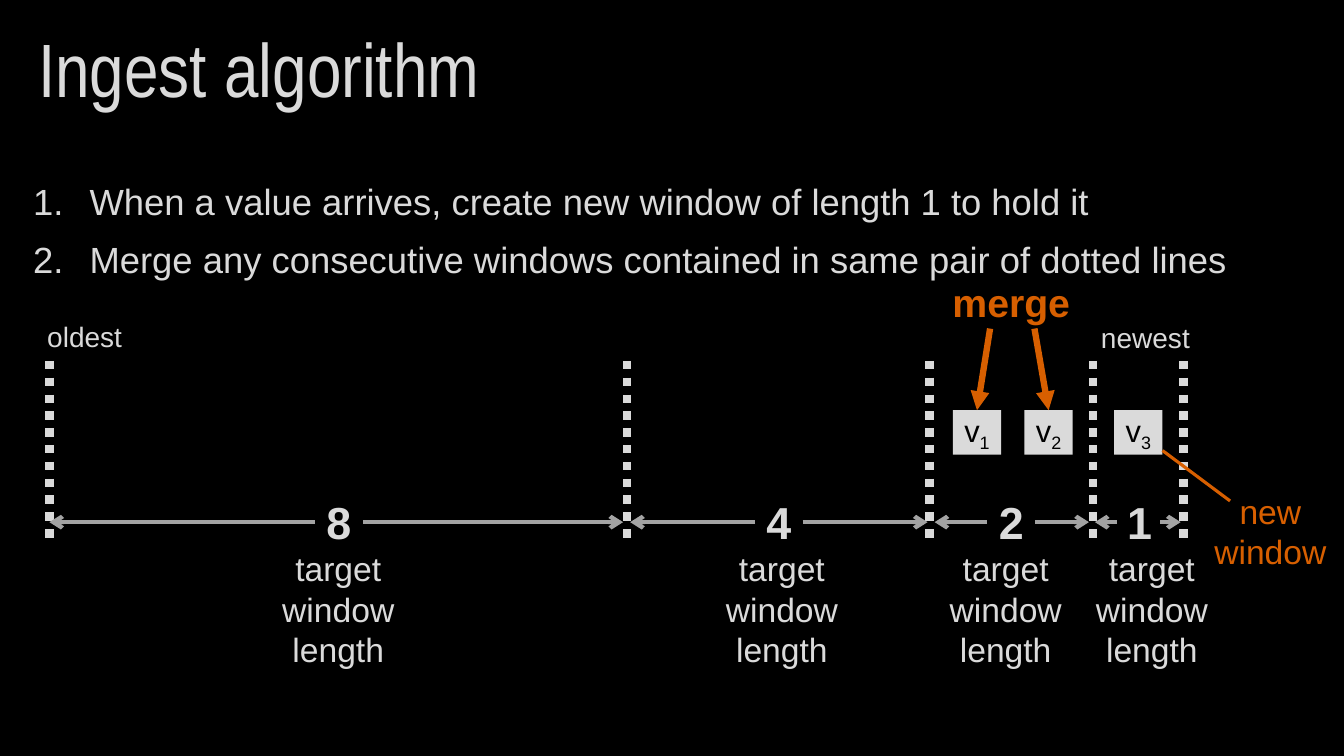
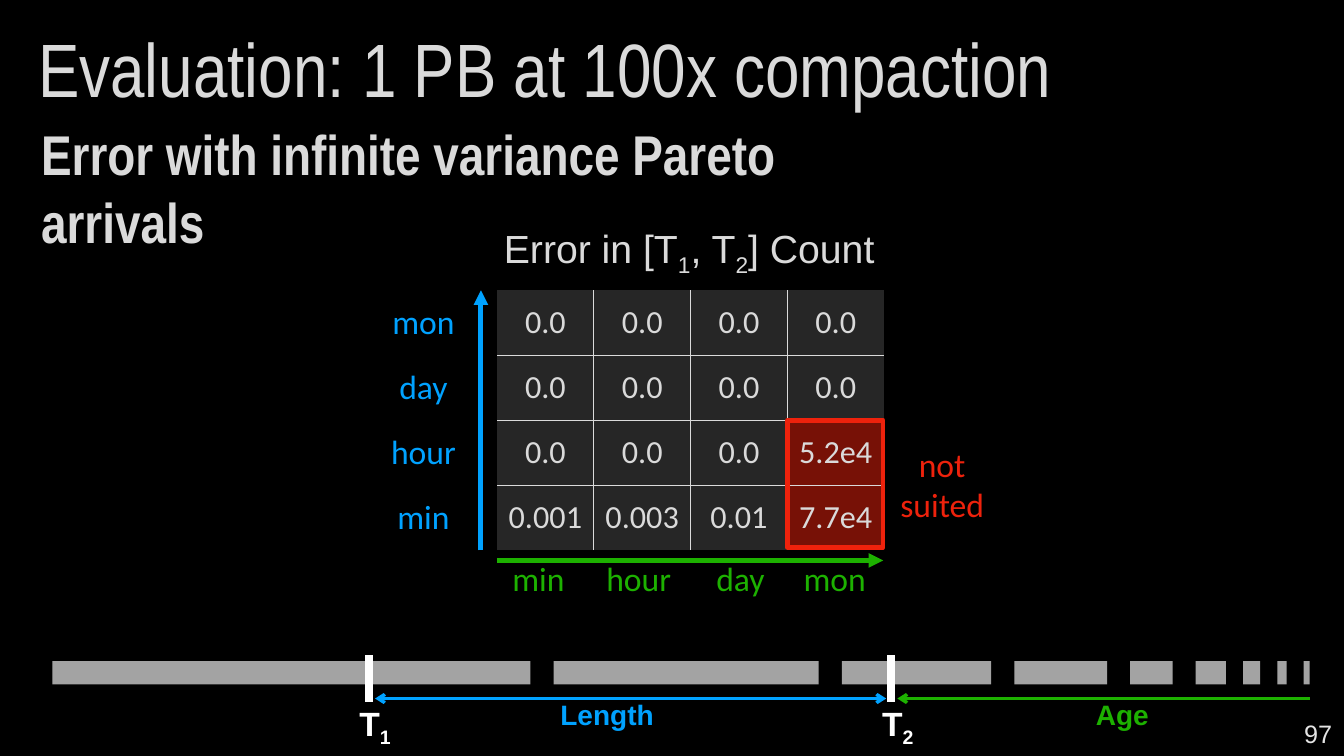
from lxml import etree
from pptx import Presentation
from pptx.dml.color import RGBColor
from pptx.enum import dml, shapes, text
from pptx.oxml import ns
from pptx.util import Inches, Pt

BLACK, WHITE, PALE, GREY, DARK = "000000", "FFFFFF", "DADADA", "A3A3A3", "262626"
ORANGE, BLUE, GREEN, RED, DARK_RED = "D75F00", "00A2FF", "1DB100", "EE220C", "771106"
BODY, NARROW, CELL = "Arial", "Arial Narrow", "Calibri"
LEFT, CENTER, RIGHT = text.PP_ALIGN.LEFT, text.PP_ALIGN.CENTER, text.PP_ALIGN.RIGHT
MIDDLE, TOP = text.MSO_ANCHOR.MIDDLE, text.MSO_ANCHOR.TOP
NO_GRID = "{2D5ABB26-0587-4C30-8999-92F81FD0307C}"


def rgb(color):
    return RGBColor.from_string(color)


def add_xml(parent, tag, **attrs):
    return etree.SubElement(parent, ns.qn(tag), attrs)


class Deck:
    """Holds the shared style and the slide being filled."""

    def __init__(self):
        self.prs = Presentation()
        self.prs.slide_width, self.prs.slide_height = Inches(13.33), Inches(7.5)
        self.s = None

    def slide(self, title):
        self.s = self.prs.slides.add_slide(self.prs.slide_layouts[6])
        fill = self.s.background.fill
        fill.solid()
        fill.fore_color.rgb = rgb(BLACK)
        sp = self.text(title, 0.28, 0, 12.8, 1.45, 54, font=NARROW, align=LEFT,
                       anchor=MIDDLE, wrap=True)
        sp.text_frame.paragraphs[0].line_spacing = 0.9

    def fill_paragraph(self, p, content, size, color, font, bold=False, align=CENTER):
        """Fill a paragraph; parts between bars are subscripts."""
        p.alignment = align
        for i, part in enumerate(content.split("|")):
            for j, line in enumerate(part.split("\n")):
                if j:
                    p.add_line_break()
                if not line:
                    continue
                r = p.add_run()
                r.text = line
                r.font.size, r.font.name, r.font.bold = Pt(size), font, bold
                r.font.color.rgb = rgb(color)
                if i % 2:
                    r.font._element.set("baseline", "-25000")

    def text(self, content, x, y, w, h, size, color=PALE, font=BODY, bold=False,
             align=CENTER, anchor=TOP, wrap=False):
        sp = self.s.shapes.add_textbox(Inches(x), Inches(y), Inches(w), Inches(h))
        tf = sp.text_frame
        tf.word_wrap, tf.vertical_anchor = wrap, anchor
        self.fill_paragraph(tf.paragraphs[0], content, size, color, font, bold, align)
        return sp

    def numbered(self, items, x, y, w, h, size):
        sp = self.s.shapes.add_textbox(Inches(x), Inches(y), Inches(w), Inches(h))
        tf = sp.text_frame
        tf.word_wrap = True
        for i, item in enumerate(items):
            p = tf.add_paragraph() if i else tf.paragraphs[0]
            self.fill_paragraph(p, item, size, PALE, BODY, align=LEFT)
            p.space_before = Pt(10)
            pPr = p._p.get_or_add_pPr()
            pPr.set("marL", str(Inches(0.56)))
            pPr.set("indent", str(-Inches(0.56)))
            add_xml(pPr, "a:buFont", typeface=BODY)
            add_xml(pPr, "a:buAutoNum", type="arabicPeriod")

    def rect(self, x, y, w, h, fill=None, line=None, label=""):
        sp = self.s.shapes.add_shape(shapes.MSO_SHAPE.RECTANGLE, Inches(x), Inches(y),
                                     Inches(w), Inches(h))
        sp.shadow.inherit = False
        if fill:
            sp.fill.solid()
            sp.fill.fore_color.rgb = rgb(fill)
        else:
            sp.fill.background()
        if line:
            sp.line.color.rgb, sp.line.width = rgb(line), Pt(3.25)
        else:
            sp.line.fill.background()
        if label:
            tf = sp.text_frame
            tf.margin_left = tf.margin_right = tf.margin_top = tf.margin_bottom = 0
            tf.vertical_anchor = MIDDLE
            self.fill_paragraph(tf.paragraphs[0], label, 22, BLACK, BODY)
        return sp

    def line(self, start, end, color, width, head=None, tail=None, dotted=False):
        """Draw a line; an end is a point or a (shape, side) pair."""
        points = [(0, 0) if hasattr(e[0], "shape_id") else e for e in (start, end)]
        cxn = self.s.shapes.add_connector(shapes.MSO_CONNECTOR.STRAIGHT,
                                          *[Inches(v) for pt in points for v in pt])
        for e, join in ((start, cxn.begin_connect), (end, cxn.end_connect)):
            if hasattr(e[0], "shape_id"):
                join(*e)
        cxn.line.color.rgb, cxn.line.width = rgb(color), Pt(width)
        if dotted:
            cxn.line.dash_style = dml.MSO_LINE.ROUND_DOT
        ln = cxn.line._get_or_add_ln()
        for tag, kind in (("a:headEnd", head), ("a:tailEnd", tail)):
            if kind:
                add_xml(ln, tag, type=kind)
        add_xml(cxn._element.spPr, "a:effectLst")

    def table(self, rows, x, y, widths, row_height, size, color, fills=None):
        """Draw a table; with fills it also gets inner grid lines."""
        last_row, last_col = len(rows) - 1, len(widths) - 1
        frame = self.s.shapes.add_table(len(rows), len(widths), Inches(x), Inches(y),
                                        Inches(sum(widths)), Inches(row_height * len(rows)))
        tbl = frame.table
        tbl.first_row = tbl.horz_banding = False
        tbl._tbl.tblPr.find(ns.qn("a:tableStyleId")).text = NO_GRID
        for col, width in zip(tbl.columns, widths):
            col.width = Inches(width)
        for i, row in enumerate(rows):
            tbl.rows[i].height = Inches(row_height)
            for j, value in enumerate(row):
                cell = tbl.cell(i, j)
                cell.margin_left = cell.margin_right = Inches(0.08)
                cell.margin_top = cell.margin_bottom = Inches(0.04)
                cell.vertical_anchor = MIDDLE
                self.fill_paragraph(cell.text_frame.paragraphs[0], value, size, color, CELL)
                if not fills:
                    cell.fill.background()
                    continue
                inner = {"L": j > 0, "R": j < last_col, "T": i > 0, "B": i < last_row}
                for side in [k for k, shown in inner.items() if shown]:
                    ln = add_xml(cell._tc.get_or_add_tcPr(), "a:ln" + side, w=str(Pt(1)))
                    add_xml(add_xml(ln, "a:solidFill"), "a:srgbClr", val=PALE)
                cell.fill.solid()
                cell.fill.fore_color.rgb = rgb(fills[i][j])


def ingest_slide(d):
    d.slide("Ingest algorithm")
    d.numbered(["When a value arrives, create new window of length 1 to hold it",
                "Merge any consecutive windows contained in same pair of dotted lines"],
               0.23, 1.73, 12.88, 5.06, 26)

    # Dotted window boundaries
    for x in (0.49, 6.22, 9.22, 10.84, 11.74):
        d.line((x, 3.58), (x, 5.35), PALE, 6, dotted=True)

    # Target lengths: number, its left and width, arrow tips, caption left
    axis = 5.18
    for number, x, w, tip_left, tip_right, caption in (
            ("8", 3.12, 0.48, 0.49, 6.18, 2.64),
            ("4", 7.49, 0.47, 6.25, 9.2, 7.04),
            ("2", 9.79, 0.48, 9.27, 10.8, 9.26),
            ("1", 11.08, 0.43, 10.86, 11.71, 10.71)):
        box = d.text(number, x, axis - 0.32, w, 0.64, 32, bold=True)
        for side, tip in ((1, tip_left), (3, tip_right)):
            d.line((box, side), (tip, axis), GREY, 3, tail="arrow")
        d.text("target\nwindow\nlength", caption, 5.39, 1.43, 1.31, 24)

    # Values
    v1, v2, v3 = [d.rect(x, 4.07, 0.48, 0.44, PALE, label=f"v|{i}")
                  for i, x in enumerate((9.45, 10.16, 11.05), 1)]

    # Callouts
    d.text("merge", 9.31, 2.71, 1.44, 0.57, 28, ORANGE, bold=True)
    for x, value in ((9.82, v1), (10.26, v2)):
        d.line((x, 3.26), (value, 0), ORANGE, 4.5, tail="triangle")
    d.text("new\nwindow", 11.88, 4.82, 1.44, 0.91, 24, ORANGE)
    d.line((11.53, 4.47), (12.2, 4.97), ORANGE, 2.25)
    d.text("newest", 10.75, 3.13, 1.15, 0.44, 20, align=RIGHT)
    d.text("oldest", 0.37, 3.12, 1.01, 0.44, 20, align=LEFT)


def evaluation_slide(d):
    d.slide("Evaluation: 1 PB at 100x compaction")
    d.text("Error with infinite variance Pareto arrivals", 0.31, 1.14, 8.15, 0.77, 40,
           font=NARROW, bold=True, align=LEFT, wrap=True)

    # Error grid with its two axes
    units = ["min", "hour", "day", "mon"]
    errors = [["0.0"] * 4,
              ["0.0"] * 4,
              ["0.0", "0.0", "0.0", "5.2e4"],
              ["0.001", "0.003", "0.01", "7.7e4"]]
    fills = [[DARK_RED if "e" in v else DARK for v in row] for row in errors]
    d.text("Error in [T|1|, T|2|] Count", 4.87, 2.18, 3.93, 0.57, 28)
    d.table([[u] for u in reversed(units)], 3.7, 2.88, [1], 0.645, 24, BLUE)
    d.table(errors, 4.93, 2.88, [0.96] * 4, 0.645, 23, PALE, fills)
    d.line((4.77, 5.46), (4.77, 2.88), BLUE, 3.5, tail="triangle")
    d.line((4.93, 5.56), (8.76, 5.56), GREEN, 3.5, tail="triangle")
    d.table([units], 4.9, 5.51, [0.88, 1.11, 0.91, 0.96], 0.48, 24, GREEN)
    d.rect(7.81, 4.17, 0.95, 1.26, line=RED)
    d.text("not\nsuited", 8.78, 4.35, 1.13, 0.91, 24, RED, CELL, wrap=True)

    # Timeline of shrinking windows
    x = 0.52
    for width in (4.74, 2.63, 1.48, 0.92, 0.42, 0.3, 0.17, 0.09, 0.06):
        d.rect(x, 6.56, width, 0.23, GREY)
        x += width + (0.23 if width > 0.4 else 0.17)

    # Time marks and spans
    for i, (mark, left, w) in enumerate(((3.66, 3.46, 0.52), (8.84, 8.63, 0.55)), 1):
        d.line((mark, 6.5), (mark, 6.96), WHITE, 6)
        d.text(f"T|{i}", left, 6.92, w, 0.5, 24, WHITE, bold=True)
    for label, left, w, start, end, color, tail in (
            ("Length", 5.46, 1.16, 3.72, 8.79, BLUE, "arrow"),
            ("Age", 10.77, 0.74, 8.9, 12.99, GREEN, None)):
        d.line((start, 6.93), (end, 6.93), color, 2.25, head="arrow", tail=tail)
        d.text(label, left, 6.87, w, 0.44, 20, color, bold=True, align=LEFT)
    d.text("97", 10.31, 7.08, 3, 0.4, 18, "E4E4E4", align=RIGHT, anchor=MIDDLE, wrap=True)


def main():
    d = Deck()
    ingest_slide(d)
    evaluation_slide(d)
    d.prs.save("out.pptx")


if __name__ == "__main__":
    main()
